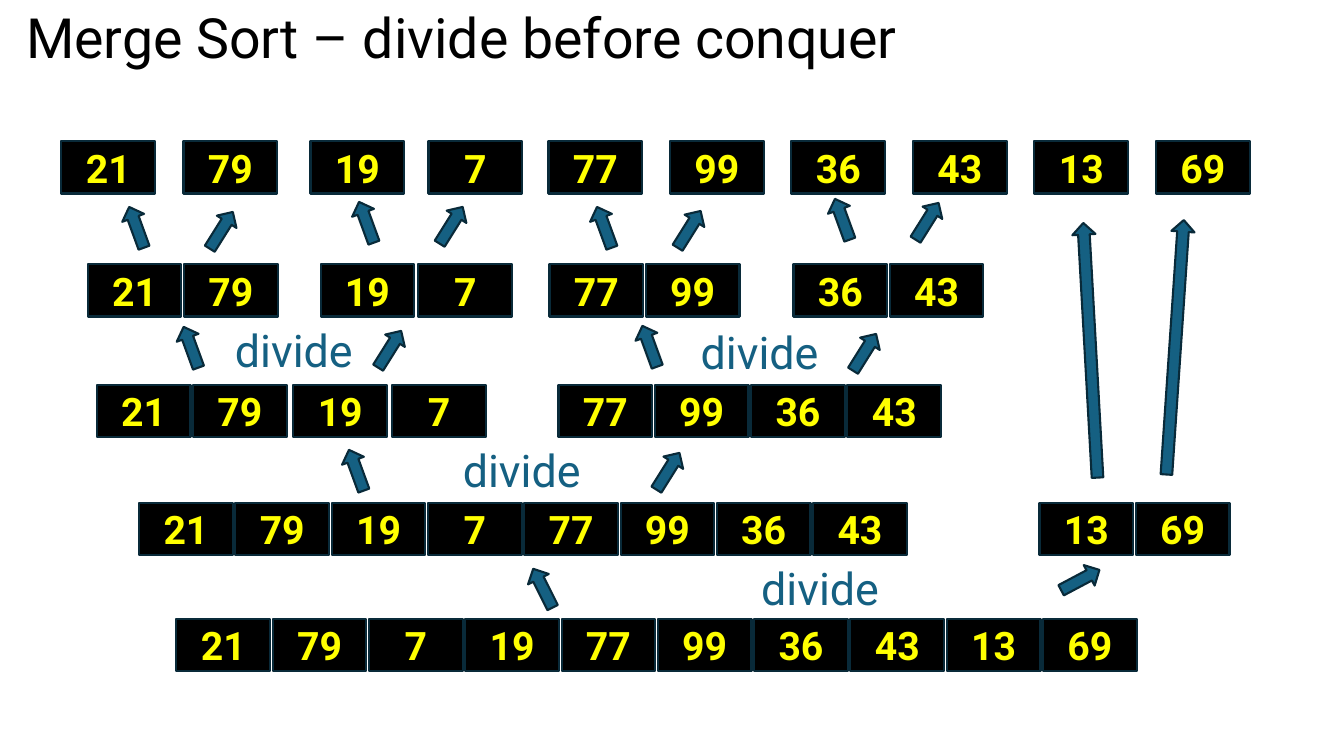
from pptx import Presentation
from pptx.dml.color import RGBColor
from pptx.enum import shapes, text
from pptx.util import Inches, Pt

BLACK = RGBColor(0x00, 0x00, 0x00)
YELLOW = RGBColor(0xFF, 0xFF, 0x00)
TEAL = RGBColor(0x15, 0x60, 0x82)
OUTLINE = RGBColor(0x09, 0x2A, 0x39)
FONT = "Roboto"

CELL_WIDTH, CELL_HEIGHT = 0.93, 0.52
CELL_PITCH = 0.955
ARROW_THICKNESS = 0.23
SHORT_ARROW, LONG_ARROW = 0.43, 2.53
LEAN_LEFT, LEAN_RIGHT = 250, 302.1

RUNS = [
    (0.61, 1.4, 1.21, [21, 79]),
    (3.08, 1.4, 1.17, [19, 7]),
    (5.44, 1.4, 1.205, [77, 99, 36, 43, 13, 69]),
    (0.87, 2.62, CELL_PITCH, [21, 79]),
    (3.18, 2.62, 0.97, [19, 7]),
    (5.45, 2.62, CELL_PITCH, [77, 99]),
    (7.87, 2.62, CELL_PITCH, [36, 43]),
    (0.96, 3.82, CELL_PITCH, [21, 79]),
    (2.91, 3.82, 0.98, [19, 7]),
    (5.54, 3.82, CELL_PITCH, [77, 99, 36, 43]),
    (1.38, 4.99, CELL_PITCH, [21, 79, 19, 7, 77, 99, 36, 43]),
    (10.31, 4.99, CELL_PITCH, [13, 69]),
    (1.75, 6.14, CELL_PITCH, [21, 79, 7, 19, 77, 99, 36, 43, 13, 69]),
]

SPLITS = [
    ((1.14, 2.14), (1.98, 2.17)),
    ((3.42, 2.09), (4.26, 2.12)),
    ((5.78, 2.14), (6.62, 2.16)),
    ((8.14, 2.06), (8.98, 2.08)),
    ((1.68, 3.33), (3.65, 3.35)),
    ((6.23, 3.32), (8.36, 3.38)),
    ((3.32, 4.55), (6.41, 4.56)),
]

DIVIDE_LABELS = [(1.79, 3.15), (6.41, 3.17), (4.05, 4.34), (7.01, 5.51)]


def write(frame, words, size, color, bold=False, align=text.PP_ALIGN.CENTER,
          anchor=text.MSO_ANCHOR.MIDDLE, spacing=None):
    frame.word_wrap = True
    frame.vertical_anchor = anchor
    paragraph = frame.paragraphs[0]
    paragraph.alignment = align
    paragraph.line_spacing = spacing
    run = paragraph.add_run()
    run.text = words
    run.font.name = FONT
    run.font.size = Pt(size)
    run.font.bold = bold
    run.font.color.rgb = color


class MergeSortSlide:
    def __init__(self, slide):
        self.slide = slide

    def block(self, kind, left, top, width, height, fill):
        block = self.slide.shapes.add_shape(
            kind, Inches(left), Inches(top), Inches(width), Inches(height))
        block.shadow.inherit = False
        block.fill.solid()
        block.fill.fore_color.rgb = fill
        block.line.color.rgb = OUTLINE
        block.line.width = Pt(1.5)
        return block

    def cell(self, left, top, number):
        cell = self.block(shapes.MSO_SHAPE.RECTANGLE, left, top,
                          CELL_WIDTH, CELL_HEIGHT, BLACK)
        write(cell.text_frame, str(number), 28, YELLOW, bold=True)

    def run(self, left, top, pitch, numbers):
        for index, number in enumerate(numbers):
            self.cell(left + index * pitch, top, number)

    def arrow(self, left, top, angle, length=SHORT_ARROW):
        arrow = self.block(shapes.MSO_SHAPE.RIGHT_ARROW, left, top,
                           length, ARROW_THICKNESS, TEAL)
        arrow.rotation = angle

    def label(self, words, left, top, width, height, size, color, **style):
        label = self.slide.shapes.add_textbox(
            Inches(left), Inches(top), Inches(width), Inches(height))
        write(label.text_frame, words, size, color, **style)


def main():
    deck = Presentation()
    deck.slide_width = Inches(13.33)
    deck.slide_height = Inches(7.5)
    page = MergeSortSlide(deck.slides.add_slide(deck.slide_layouts[6]))

    page.label("Merge Sort – divide before conquer", 0.16, 0.13, 8.95, 0.55,
               39.6, BLACK, align=text.PP_ALIGN.LEFT, spacing=0.9)

    for left, top, pitch, numbers in RUNS:
        page.run(left, top, pitch, numbers)

    for left_half, right_half in SPLITS:
        page.arrow(*left_half, LEAN_LEFT)
        page.arrow(*right_half, LEAN_RIGHT)
    page.arrow(5.17, 5.72, 243.4)
    page.arrow(10.5, 5.64, 332)
    page.arrow(9.55, 3.36, 266.8, LONG_ARROW)
    page.arrow(10.39, 3.33, 273.9, LONG_ARROW)

    for left, top in DIVIDE_LABELS:
        page.label("divide", left, top, 2.25, 0.64, 32, TEAL,
                   anchor=text.MSO_ANCHOR.TOP)

    deck.save("out.pptx")


if __name__ == "__main__":
    main()
